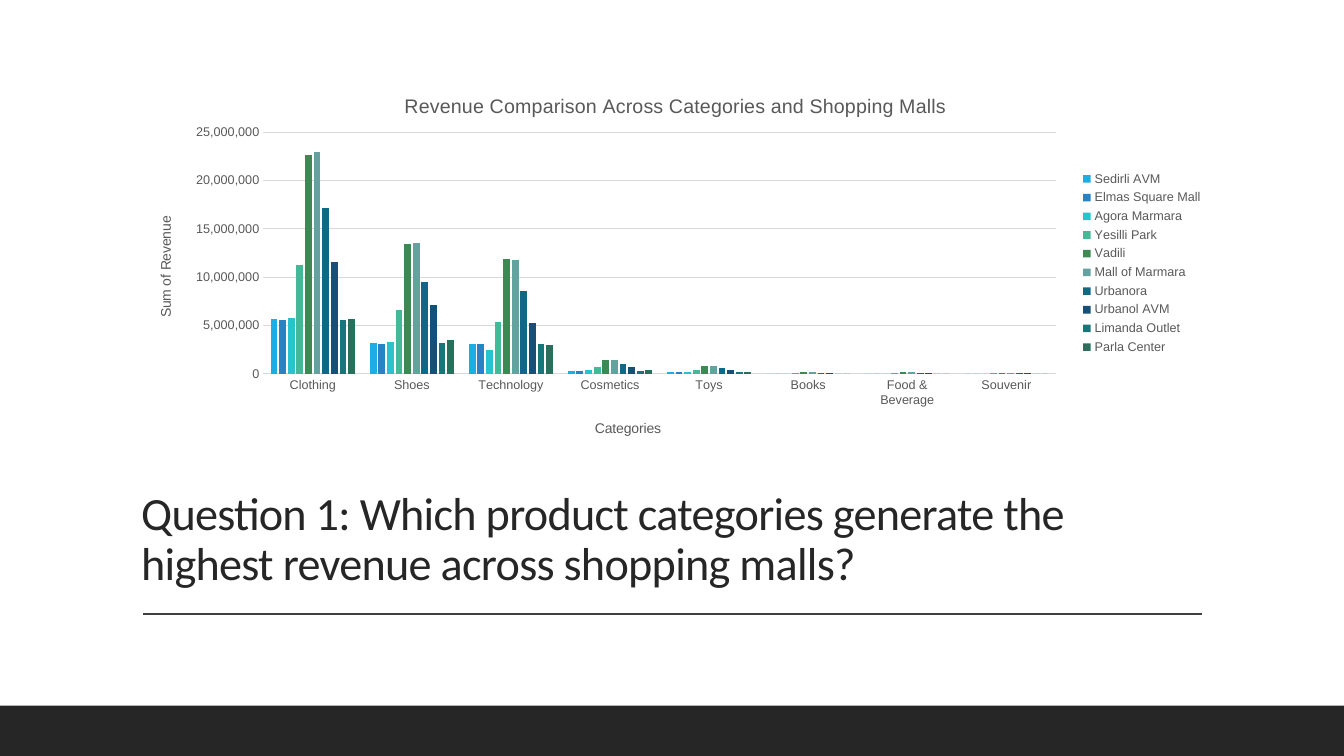
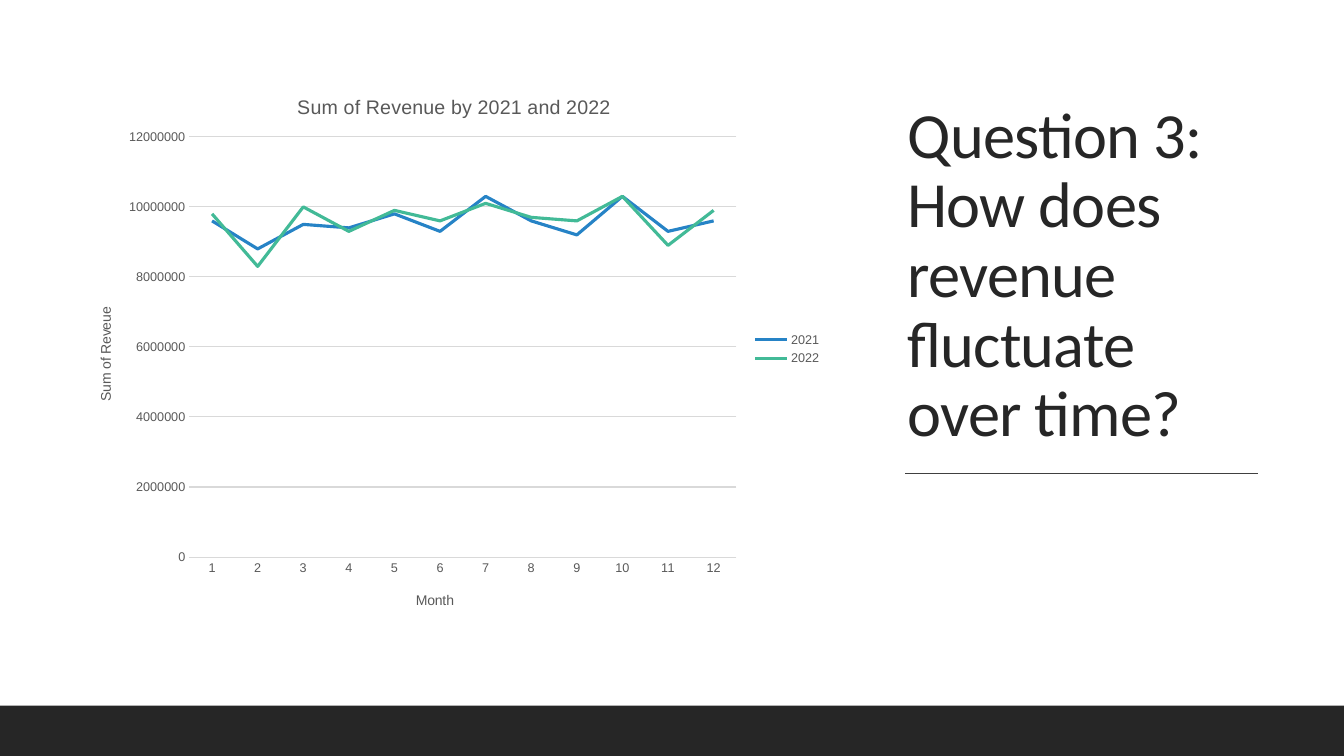
from lxml.etree import SubElement
from pptx import Presentation
from pptx.chart.data import CategoryChartData
from pptx.dml.color import RGBColor
from pptx.enum.chart import XL_CHART_TYPE, XL_LEGEND_POSITION, XL_MARKER_STYLE, XL_TICK_MARK
from pptx.enum.shapes import MSO_CONNECTOR, MSO_SHAPE
from pptx.enum.text import MSO_ANCHOR, MSO_AUTO_SIZE, PP_ALIGN
from pptx.oxml import parse_xml
from pptx.oxml.ns import nsdecls, qn
from pptx.util import Inches, Pt

WIDTH, HEIGHT, BAND_HEIGHT = 13.33, 7.5, 0.5
WHITE, INK, RULE, GREY, GRID = "FFFFFF", "262626", "404040", "595959", "D9D9D9"
TITLE_FONT, CHART_FONT = "Calibri", "Arial"
MILLION = 1_000_000

# Series are (name, colour, values in millions); places inside a chart are shares of its size.
SLIDES = [
    {
        "title": "Question 1: Which product categories generate the highest revenue across shopping malls?",
        "title_box": (1.3, 4.78, 10.74, 1.13),
        "title_size": 33,
        "rule": (1.42, 6.09, 10.5),
        "chart_type": XL_CHART_TYPE.COLUMN_CLUSTERED,
        "chart_box": (1.29, 0.7, 10.74, 3.82),
        "plot": (0.123, 0.16, 0.732, 0.628),
        "chart_title": ("Revenue Comparison Across Categories and Shopping Malls", 0.25, 0.05),
        "category_title": ("Categories", 0.427, 0.9),
        "value_title": ("Sum of Revenue", 0.022, 0.372),
        "number_format": "#,##0",
        "scale": (25, 5),
        "categories": ["Clothing", "Shoes", "Technology", "Cosmetics", "Toys", "Books",
                       "Food & Beverage", "Souvenir"],
        "series": [
            ("Sedirli AVM", "1CADE4", (5.7, 3.2, 3.1, 0.3, 0.2, 0, 0, 0)),
            ("Elmas Square Mall", "2683C6", (5.6, 3.1, 3.1, 0.3, 0.2, 0, 0, 0)),
            ("Agora Marmara", "28C4CC", (5.8, 3.3, 2.5, 0.4, 0.2, 0, 0, 0)),
            ("Yesilli Park", "42BA97", (11.3, 6.6, 5.4, 0.7, 0.4, 0.1, 0.1, 0.1)),
            ("Vadili", "3E8853", (22.6, 13.4, 11.9, 1.4, 0.8, 0.2, 0.2, 0.1)),
            ("Mall of Marmara", "62A39F", (22.9, 13.5, 11.8, 1.4, 0.8, 0.2, 0.2, 0.1)),
            ("Urbanora", "106889", (17.2, 9.5, 8.6, 1, 0.6, 0.1, 0.1, 0.1)),
            ("Urbanol AVM", "174F77", (11.6, 7.1, 5.3, 0.7, 0.4, 0.1, 0.1, 0.1)),
            ("Limanda Outlet", "18767A", (5.6, 3.2, 3.1, 0.3, 0.2, 0, 0, 0)),
            ("Parla Center", "28705B", (5.7, 3.5, 3, 0.4, 0.2, 0, 0, 0)),
        ],
    },
    {
        "title": "Question 3: How does revenue fluctuate over time?",
        "title_box": (8.9, 0.7, 3.72, 3.82),
        "title_size": 46,
        "rule": (8.98, 4.7, 3.5),
        "chart_type": XL_CHART_TYPE.LINE,
        "chart_box": (0.69, 0.7, 7.56, 5.53),
        "plot": (0.157, 0.119, 0.718, 0.754),
        "chart_title": ("Sum of Revenue by 2021 and 2022", 0.294, 0.037),
        "category_title": ("Month", 0.451, 0.93),
        "value_title": ("Sum of Reveue", 0.032, 0.42),
        "number_format": "General",
        "scale": (12, 2),
        "categories": [str(month) for month in range(1, 13)],
        "series": [
            ("2021", "2683C6", (9.6, 8.8, 9.5, 9.4, 9.8, 9.3, 10.3, 9.6, 9.2, 10.3, 9.3, 9.6)),
            ("2022", "42BA97", (9.8, 8.3, 10, 9.3, 9.9, 9.6, 10.1, 9.7, 9.6, 10.3, 8.9, 9.9)),
        ],
    },
]


def color(hex_string):
    return RGBColor.from_string(hex_string)


def inches(lengths):
    return [Inches(length) for length in lengths]


def style_font(font, name, size, hex_string):
    font.name, font.size, font.bold = name, Pt(size), False
    font.color.rgb = color(hex_string)


def style_line(line, hex_string, width):
    line.color.rgb = color(hex_string)
    line.width = Pt(width)


def place(element, shares, position):
    """Fix a chart part at the given shares (x, y and perhaps w, h) of the chart."""
    for old_layout in element.findall(qn("c:layout")):
        element.remove(old_layout)
    layout = parse_xml(f"<c:layout {nsdecls('c')}><c:manualLayout/></c:layout>")
    settings = [("xMode", "edge"), ("yMode", "edge"), *zip("xywh", shares)]
    if len(shares) == 4:
        settings.insert(0, ("layoutTarget", "inner"))
    for tag, value in settings:
        SubElement(layout[0], qn(f"c:{tag}")).set("val", str(value))
    element.insert(position, layout)


def write_chart_title(owner, content, size):
    text, *corner = content
    title = owner.chart_title if hasattr(owner, "chart_title") else owner.axis_title
    run = title.text_frame.paragraphs[0].add_run()
    run.text = text
    style_font(run.font, CHART_FONT, size, GREY)
    element = title._element
    place(element, corner, 1)


def add_title(slide, content):
    title = slide.shapes.title
    title.left, title.top, title.width, title.height = inches(content["title_box"])
    frame = title.text_frame
    frame.word_wrap, frame.auto_size = True, MSO_AUTO_SIZE.NONE
    frame.vertical_anchor = MSO_ANCHOR.BOTTOM
    paragraph = frame.paragraphs[0]
    paragraph.alignment, paragraph.line_spacing = PP_ALIGN.LEFT, 0.9
    run = paragraph.add_run()
    run.text = content["title"]
    style_font(run.font, TITLE_FONT, content["title_size"], INK)
    run.font._element.set("spc", "-50")


def add_rule(slide, left, top, length):
    rule = slide.shapes.add_connector(
        MSO_CONNECTOR.STRAIGHT, *inches((left, top, left + length, top)))
    style_line(rule.line, RULE, 1)
    SubElement(rule._element.spPr, qn("a:effectLst"))


def add_band(slide):
    band = slide.shapes.add_shape(
        MSO_SHAPE.RECTANGLE, *inches((0, HEIGHT - BAND_HEIGHT, WIDTH, BAND_HEIGHT)))
    band.shadow.inherit = False
    band.fill.solid()
    band.fill.fore_color.rgb = color(INK)
    band.line.fill.background()


def style_axes(chart, content):
    for axis in (chart.category_axis, chart.value_axis):
        axis.major_tick_mark = axis.minor_tick_mark = XL_TICK_MARK.NONE
        style_font(axis.tick_labels.font, CHART_FONT, 9, GREY)
    style_line(chart.category_axis.format.line, GRID, 0.75)
    write_chart_title(chart.category_axis, content["category_title"], 10)

    value_axis = chart.value_axis
    maximum, step = content["scale"]
    value_axis.minimum_scale, value_axis.maximum_scale = 0, maximum * MILLION
    value_axis.major_unit = step * MILLION
    value_axis.format.line.fill.background()
    style_line(value_axis.major_gridlines.format.line, GRID, 0.75)
    value_axis.tick_labels.number_format = content["number_format"]
    value_axis.tick_labels.number_format_is_linked = False
    write_chart_title(value_axis, content["value_title"], 10)


def style_series(chart, content):
    plot = chart.plots[0]
    plot.vary_by_categories = False
    is_line = content["chart_type"] == XL_CHART_TYPE.LINE
    if not is_line:
        plot.gap_width, plot.overlap = 219, -27
    for series, (_, hex_string, _) in zip(plot.series, content["series"]):
        if is_line:
            series.smooth = False
            series.marker.style = XL_MARKER_STYLE.NONE
            style_line(series.format.line, hex_string, 2.25)
        else:
            series.format.fill.solid()
            series.format.fill.fore_color.rgb = color(hex_string)


def add_revenue_chart(slide, content):
    data = CategoryChartData()
    data.categories = content["categories"]
    for name, _, millions in content["series"]:
        data.add_series(name, [round(value * MILLION) for value in millions])
    chart = slide.shapes.add_chart(
        content["chart_type"], *inches(content["chart_box"]), data).chart
    style_font(chart.font, CHART_FONT, 10, "000000")
    write_chart_title(chart, content["chart_title"], 14)
    chart.has_legend = True
    chart.legend.position = XL_LEGEND_POSITION.RIGHT
    chart.legend.include_in_layout = False
    style_font(chart.legend.font, CHART_FONT, 9, GREY)
    style_axes(chart, content)
    style_series(chart, content)
    place(chart._chartSpace.chart.plotArea, content["plot"], 0)


def main():
    presentation = Presentation()
    presentation.slide_width, presentation.slide_height = inches((WIDTH, HEIGHT))
    background = presentation.slide_master.background.fill
    background.solid()
    background.fore_color.rgb = color(WHITE)
    title_only = presentation.slide_layouts[5]
    for content in SLIDES:
        slide = presentation.slides.add_slide(title_only)
        add_title(slide, content)
        add_rule(slide, *content["rule"])
        add_band(slide)
        add_revenue_chart(slide, content)
    presentation.save("out.pptx")


if __name__ == "__main__":
    main()
